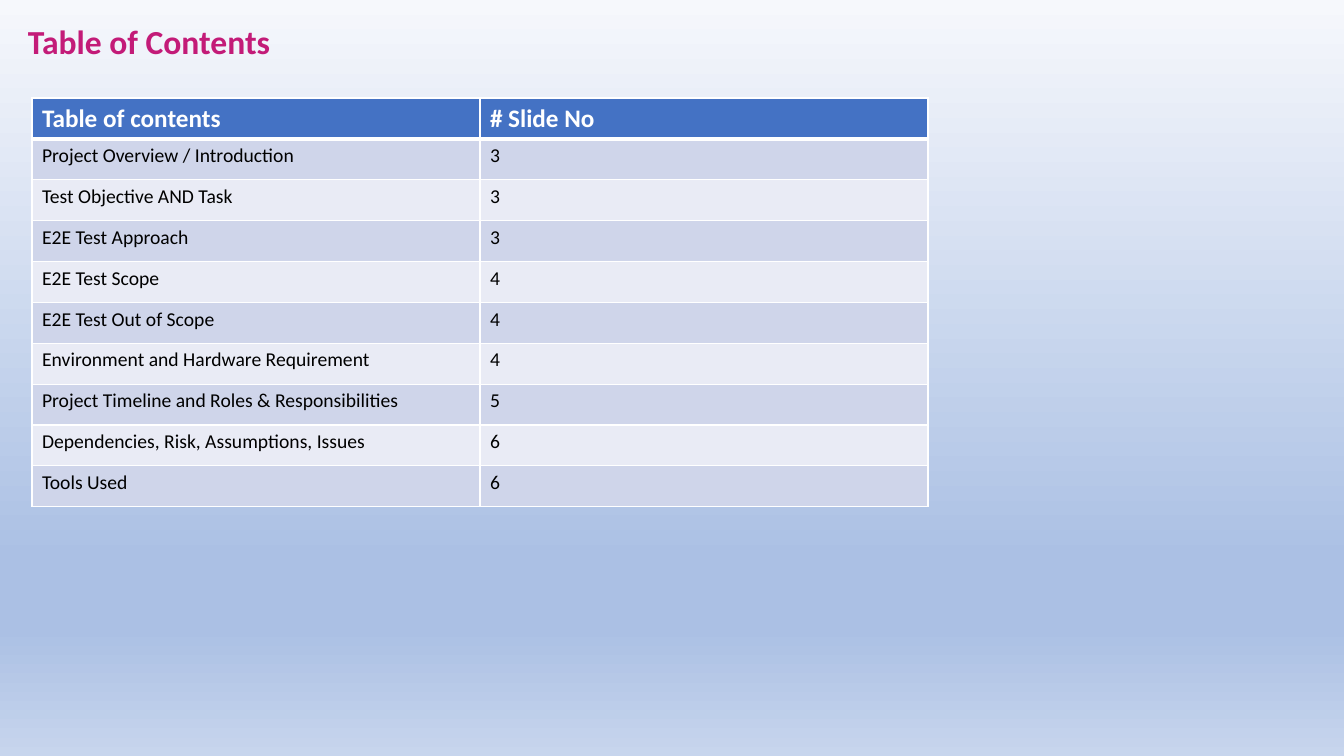
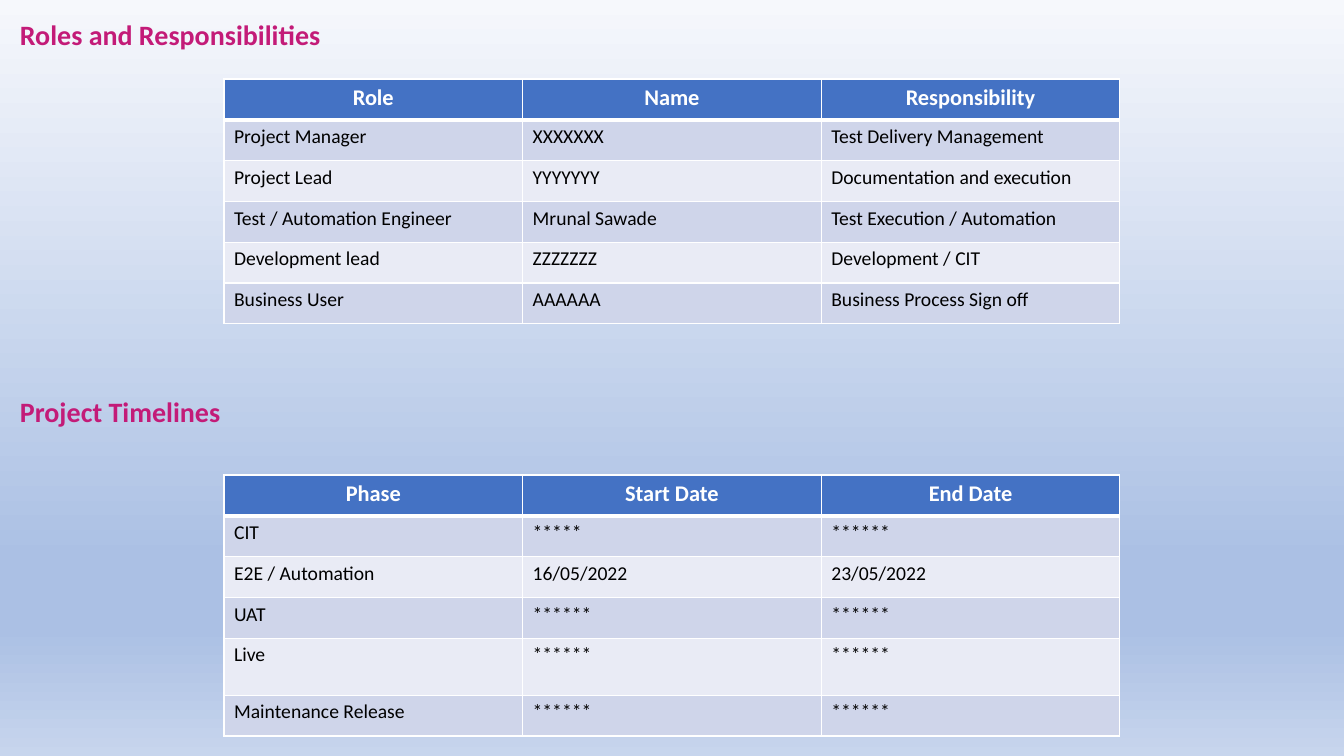
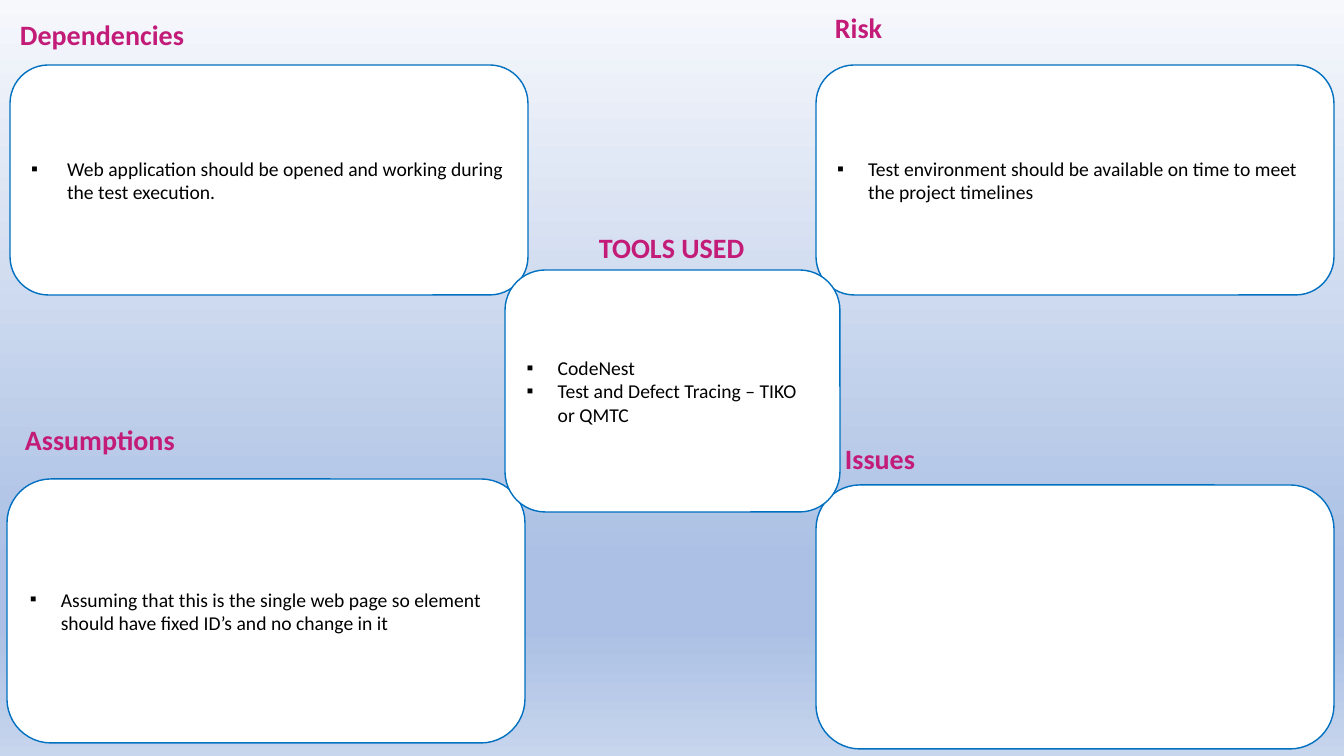
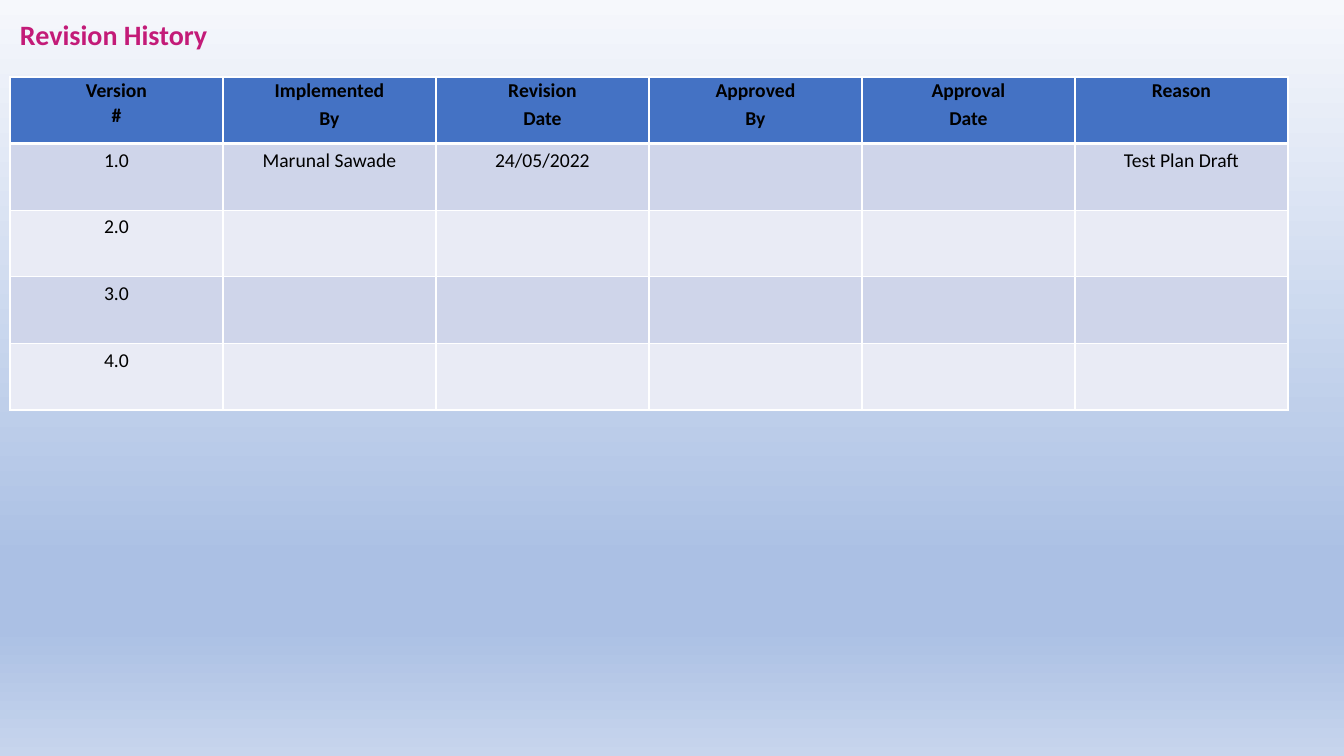
from lxml.etree import SubElement
from pptx import Presentation
from pptx.dml.color import RGBColor
from pptx.enum.shapes import MSO_SHAPE
from pptx.enum.text import MSO_ANCHOR, MSO_AUTO_SIZE, PP_ALIGN
from pptx.oxml.ns import qn
from pptx.util import Emu, Pt

EMU_PER_PIXEL = 914400 / 100.8
COLORS = {
    "title": "C31B78",
    "header": "4472C4",
    "odd": "CFD5EA",
    "even": "E9EBF5",
    "white": "FFFFFF",
    "black": "000000",
    "outline": "0070C0",
}
BACKGROUND_STOPS = [(0, "F6F8FC"), (74, "ABC0E4"), (83, "ABC0E4"), (100, "C7D5ED")]
BODY = {"name": "Calibri", "size": Pt(14), "bold": False}
HEADING = {"name": "Calibri", "size": Pt(20), "bold": True}
TABLE_HEAD = {"name": "Calibri", "size": Pt(16), "bold": True}
LEFT = {"alignment": PP_ALIGN.LEFT}
CENTER = {"alignment": PP_ALIGN.CENTER}
SPACED_CENTER = CENTER | {
    "line_spacing": 1.07, "space_before": Pt(1), "space_after": Pt(1)}


def px(length):
    """Turn pixels into EMU."""
    return Emu(round(length * EMU_PER_PIXEL))


def rgb(name):
    """Look up a named colour."""
    return RGBColor.from_string(COLORS[name])


def apply_format(target, values):
    """Set every attribute in a dict of format values."""
    for name, value in values.items():
        setattr(target, name, value)


def write_text(frame, text, font, color, layout=LEFT):
    """Fill a text frame; a newline starts a paragraph."""
    frame.text = text
    for para in frame.paragraphs:
        apply_format(para, layout)
        for span in para.runs:
            apply_format(span.font, font)
            span.font.color.rgb = rgb(color)


def set_background(deck):
    """Give the master a vertical gradient that all slides share."""
    fill = deck.slide_master.background.fill
    fill.gradient()
    fill.gradient_angle = 270
    stops = deck.slide_master.element.find(".//" + qn("a:gsLst"))
    for stop in list(stops):
        stops.remove(stop)
    for position, color in BACKGROUND_STOPS:
        stop = SubElement(stops, qn("a:gs"), pos=str(position * 1000))
        SubElement(stop, qn("a:srgbClr"), val=color)


def add_page(deck):
    """Append a blank slide."""
    return deck.slides.add_slide(deck.slide_layouts[6])


def add_heading(page, text, left, top, width=509, height=44, size=20):
    """Add a bold heading."""
    box = page.shapes.add_textbox(px(left), px(top), px(width), px(height))
    box.text_frame.word_wrap = True
    box.text_frame.auto_size = MSO_AUTO_SIZE.SHAPE_TO_FIT_TEXT
    write_text(box.text_frame, text, HEADING | {"size": Pt(size)}, "title")


def add_borders(cell, widths):
    """Draw white cell borders; widths map side letters to points."""
    properties = cell._tc.get_or_add_tcPr()
    for side, width in widths.items():
        line = SubElement(properties, qn("a:ln" + side), w=str(Pt(width)))
        fill = SubElement(line, qn("a:solidFill"))
        SubElement(fill, qn("a:srgbClr"), val=COLORS["white"])


def add_grid(page, rows, bounds, head_font=TABLE_HEAD, head_color="white",
             head_layout=CENTER, body_layout=LEFT, head_margins=None):
    """Add a banded table with equal rows and columns."""
    left, top, width, height = bounds
    columns = len(rows[0])
    table = page.shapes.add_table(
        len(rows), columns, px(left), px(top), px(width), px(height)).table
    for column in table.columns:
        column.width = px(width / columns)
    for index, values in enumerate(rows):
        table.rows[index].height = px(height / len(rows))
        for cell, text in zip(table.rows[index].cells, values):
            add_borders(cell, {"L": 1, "R": 1, "T": 3 if index == 1 else 1,
                               "B": 3 if index == 0 else 1})
            cell.fill.solid()
            if index == 0:
                cell.fill.fore_color.rgb = rgb("header")
                apply_format(cell, head_margins or {})
                write_text(cell.text_frame, text, head_font, head_color, head_layout)
            else:
                cell.fill.fore_color.rgb = rgb("odd" if index % 2 else "even")
                write_text(cell.text_frame, text, BODY, "black", body_layout)
    return table


def add_card(page, bounds, items=(), indent=31):
    """Add a white rounded card with an optional bulleted list."""
    card = page.shapes.add_shape(MSO_SHAPE.ROUNDED_RECTANGLE, *map(px, bounds))
    card.shadow.inherit = False
    card.fill.solid()
    card.fill.fore_color.rgb = rgb("white")
    card.line.color.rgb = rgb("outline")
    card.line.width = Pt(1)
    card.text_frame.word_wrap = True
    card.text_frame.vertical_anchor = MSO_ANCHOR.MIDDLE
    write_text(card.text_frame, "\n".join(items), BODY, "black")
    if items:
        for para in card.text_frame.paragraphs:
            properties = para._p.get_or_add_pPr()
            properties.set("marL", str(px(indent)))
            properties.set("indent", str(-px(indent)))
            SubElement(properties, qn("a:buFont"), typeface="Arial")
            SubElement(properties, qn("a:buChar"), char="▪")


def build_contents(page):
    """Build the table of contents."""
    add_heading(page, "Table of Contents", 18, 16, 672, 50, size=24)
    add_grid(page, [
        ("Table of contents", "# Slide No"),
        ("Project Overview / Introduction", "3"),
        ("Test Objective AND Task", "3"),
        ("E2E Test Approach", "3"),
        ("E2E Test Scope", "4"),
        ("E2E Test Out of Scope", "4"),
        ("Environment and Hardware Requirement", "4"),
        ("Project Timeline and Roles & Responsibilities", "5"),
        ("Dependencies, Risk, Assumptions, Issues", "6"),
        ("Tools Used", "6"),
    ], (32, 98, 896, 409), TABLE_HEAD | {"size": Pt(18)}, head_layout=LEFT)


def build_roles_and_timelines(page):
    """Build the role and phase tables."""
    add_heading(page, "Roles and Responsibilities", 10, 13)
    add_heading(page, "Project Timelines", 10, 390)
    add_grid(page, [
        ("Role", "Name", "Responsibility"),
        ("Project Manager", "XXXXXXX", "Test Delivery Management"),
        ("Project Lead", "YYYYYYY", "Documentation and execution"),
        ("Test / Automation Engineer", "Mrunal Sawade", "Test Execution / Automation"),
        ("Development lead", "ZZZZZZZ", "Development / CIT"),
        ("Business User", "AAAAAA", "Business Process Sign off"),
    ], (224, 79, 896, 245))
    timelines = add_grid(page, [
        ("Phase", "Start Date", "End Date"),
        ("CIT", "*****", "******"),
        ("E2E / Automation", "16/05/2022", "23/05/2022"),
        ("UAT", "******", "******"),
        ("Live", "******", "******"),
        ("Maintenance Release", "******", "******"),
    ], (224, 475, 896, 245))
    timelines.rows[4].height = px(57)


def build_dependencies(page):
    """Build the four corner cards and the tools card between them."""
    add_heading(page, "Dependencies", 10, 13)
    add_card(page, (10, 65, 518, 230), [
        "Web application should be opened and working during the test execution."],
        indent=36)
    add_heading(page, "Assumptions", 15, 418)
    add_card(page, (816, 485, 518, 264))
    add_heading(page, "Issues", 835, 437)
    add_card(page, (7, 479, 518, 264), [
        "Assuming that this is the single web page so element should have "
        "fixed ID’s and no change in it"])
    add_heading(page, "Risk", 825, 6)
    add_card(page, (816, 65, 518, 230), [
        "Test environment should be available on time to meet the project timelines"])
    add_card(page, (505, 270, 335, 242), [
        "CodeNest", "Test and Defect Tracing – TIKO or QMTC"])
    add_heading(page, "TOOLS USED", 589, 226, 188)


def build_revision_history(page):
    """Build the revision table."""
    add_heading(page, "Revision History", 10, 13)
    versions = [(f"{number}.0",) + ("",) * 5 for number in range(2, 5)]
    add_grid(page, [
        ("Version\v#", "Implemented\nBy", "Revision\nDate", "Approved\nBy",
         "Approval\nDate", "Reason"),
        ("1.0", "Marunal Sawade", "24/05/2022", "", "", "Test Plan Draft"),
        *versions,
    ], (10, 77, 1278, 333), TABLE_HEAD | {"size": Pt(14)}, "black",
        SPACED_CENTER, CENTER,
        {"margin_left": px(7), "margin_right": px(7),
         "margin_top": 0, "margin_bottom": 0})


def main():
    """Build and save the deck."""
    deck = Presentation()
    deck.slide_width, deck.slide_height = px(1344), px(756)
    set_background(deck)
    for build in (build_contents, build_roles_and_timelines,
                  build_dependencies, build_revision_history):
        build(add_page(deck))
    deck.save("out.pptx")


main()
